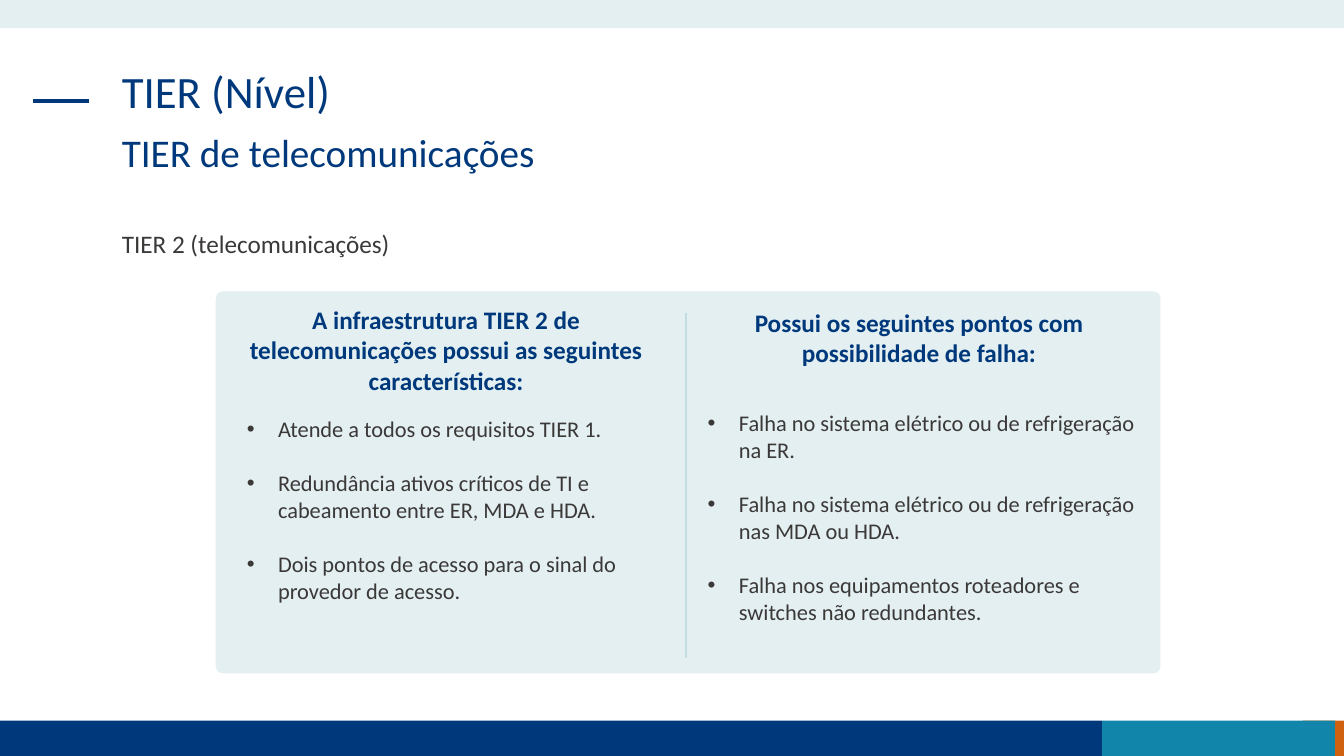
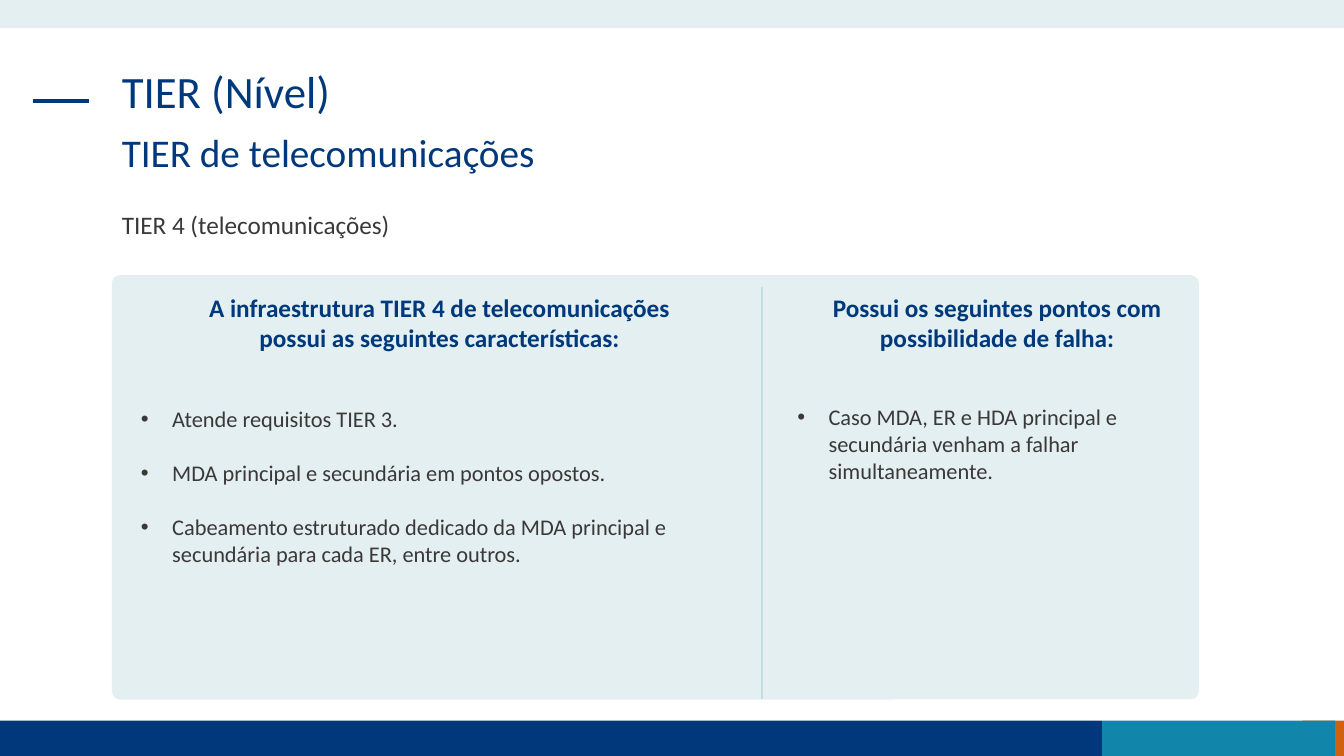
from lxml.etree import SubElement
from pptx import Presentation
from pptx.dml.color import RGBColor
from pptx.enum.shapes import MSO_CONNECTOR, MSO_SHAPE
from pptx.enum.text import PP_ALIGN
from pptx.oxml.ns import qn
from pptx.util import Inches, Pt

# Shared look
FONT = "Calibri"
NAVY, TEAL, ORANGE = "00397B", "1185AA", "D06110"
PALE, DIVIDER, GREY = "E3EFF1", "C4DDE1", "3B3838"
WIDTH, HEIGHT = 13.33, 7.5
MARGIN = 1.11
FOOTER_TOP, FOOTER_HEIGHT = 7.15, 0.35
BANDS = [
    (12.92, FOOTER_TOP, 0.41, FOOTER_HEIGHT, ORANGE),
    (0, FOOTER_TOP, 10.93, FOOTER_HEIGHT, NAVY),
    (10.93, FOOTER_TOP, 2.31, FOOTER_HEIGHT, TEAL),
    (0, 0, WIDTH, 0.28, PALE),
]
TITLE, SUBTITLE = "TIER (Nível)", "TIER de telecomunicações"
FAILURES = "Possui os seguintes pontos com possibilidade de falha:"

# Content: boxes are left, top, width, height; dividers are x, top, bottom
SLIDES = [
    {
        "topic": ("TIER 2 (telecomunicações)", 2.22),
        "panel": (2.14, 2.89, 9.37, 3.79),
        "divider": (6.8, 3.11, 6.53),
        "columns": [
            {
                "heading": "A infraestrutura TIER 2 de telecomunicações possui "
                           "as seguintes características:",
                "heading_box": (2.14, 2.97, 4.57, 1.01),
                "items": [
                    "Atende a todos os requisitos TIER 1.",
                    "Redundância ativos críticos de TI e cabeamento entre ER, MDA e HDA.",
                    "Dois pontos de acesso para o sinal do provedor de acesso.",
                ],
                "items_box": (2.35, 4.07, 4.37, 2.26),
            },
            {
                "heading": FAILURES,
                "heading_box": (6.77, 3, 4.69, 0.71),
                "items": [
                    "Falha no sistema elétrico ou de refrigeração na ER.",
                    "Falha no sistema elétrico ou de refrigeração nas MDA ou HDA.",
                    "Falha nos equipamentos roteadores e switches não redundantes.",
                ],
                "items_box": (6.92, 4.01, 4.59, 2.26),
            },
        ],
    },
    {
        "topic": ("TIER 4 (telecomunicações)", 2.03),
        "panel": (1.11, 2.73, 10.78, 4.21),
        "divider": (7.56, 2.85, 6.93),
        "columns": [
            {
                "heading": "A infraestrutura TIER 4 de telecomunicações possui "
                           "as seguintes características:",
                "heading_box": (1.79, 2.85, 5.14, 1.01),
                "items": [
                    "Atende requisitos TIER 3.",
                    "MDA principal e secundária em pontos opostos.",
                    "Cabeamento estruturado dedicado da MDA principal e secundária "
                    "para cada ER, entre outros.",
                ],
                "items_box": (1.3, 3.97, 6.32, 1.72),
            },
            {
                "heading": FAILURES,
                "heading_box": (7.8, 2.85, 4.18, 0.71),
                "items": [
                    "Caso MDA, ER e HDA principal e secundária venham a falhar "
                    "simultaneamente.",
                ],
                "items_box": (7.81, 3.95, 4.18, 0.91),
            },
        ],
    },
]


def color(value):
    return RGBColor.from_string(value)


def add_block(page, kind, place, fill):
    block = page.shapes.add_shape(kind, *map(Inches, place))
    block.shadow.inherit = False
    block.fill.solid()
    block.fill.fore_color.rgb = color(fill)
    block.line.fill.background()
    return block


def add_line(page, start, end, stroke, weight):
    line = page.shapes.add_connector(
        MSO_CONNECTOR.STRAIGHT, *map(Inches, (*start, *end)))
    line.line.color.rgb = color(stroke)
    line.line.width = Pt(weight)
    SubElement(line._element.spPr, qn("a:effectLst"))


def add_bullet(paragraph):
    properties = paragraph._p.get_or_add_pPr()
    properties.set("marL", str(Inches(0.31)))
    properties.set("indent", str(Inches(-0.31)))
    SubElement(properties, qn("a:buFont")).set("typeface", "Arial")
    SubElement(properties, qn("a:buChar")).set("char", "•")


def add_text(page, place, texts, size, ink, bold=False, align=PP_ALIGN.LEFT,
             spacing=None, bullets=False):
    frame = page.shapes.add_textbox(*map(Inches, place)).text_frame
    frame.word_wrap = True
    for index, text in enumerate(texts):
        paragraph = frame.add_paragraph() if index else frame.paragraphs[0]
        paragraph.text = text
        paragraph.alignment = align
        if spacing:
            paragraph.line_spacing = spacing
        if index:
            paragraph.space_before = Pt(19.5)  # one line of item text
        if bullets:
            add_bullet(paragraph)
        font = paragraph.font
        font.name, font.size, font.bold = FONT, Pt(size), bold
        font.color.rgb = color(ink)


def add_frame(page):
    # Bands, title mark, title and subtitle
    for *place, fill in BANDS:
        add_block(page, MSO_SHAPE.RECTANGLE, place, fill)
    add_line(page, (0.33, 1), (0.88, 1), NAVY, 3)
    add_text(page, (MARGIN, 0.64, 11.1, 0.94), [TITLE], 32, NAVY, spacing=0.9)
    add_text(page, (MARGIN, 1.28, 8.75, 0.59), [SUBTITLE], 28, NAVY, spacing=0.9)


def add_comparison(page, content):
    # Panel with two columns
    panel = add_block(page, MSO_SHAPE.ROUNDED_RECTANGLE, content["panel"], PALE)
    panel.adjustments[0] = 0.019
    for column in content["columns"]:
        add_text(page, column["heading_box"], [column["heading"]], 18, NAVY,
                 bold=True, align=PP_ALIGN.CENTER)
        add_text(page, column["items_box"], column["items"], 16, GREY, bullets=True)
    x, top, bottom = content["divider"]
    add_line(page, (x, top), (x, bottom), DIVIDER, 1.5)

    # Topic line above the panel
    topic, topic_top = content["topic"]
    add_text(page, (MARGIN, topic_top, 11.1, 0.71), [topic], 18, GREY)


def main():
    deck = Presentation()
    deck.slide_width, deck.slide_height = Inches(WIDTH), Inches(HEIGHT)
    for content in SLIDES:
        page = deck.slides.add_slide(deck.slide_layouts[6])
        add_frame(page)
        add_comparison(page, content)
    deck.save("out.pptx")


if __name__ == "__main__":
    main()
